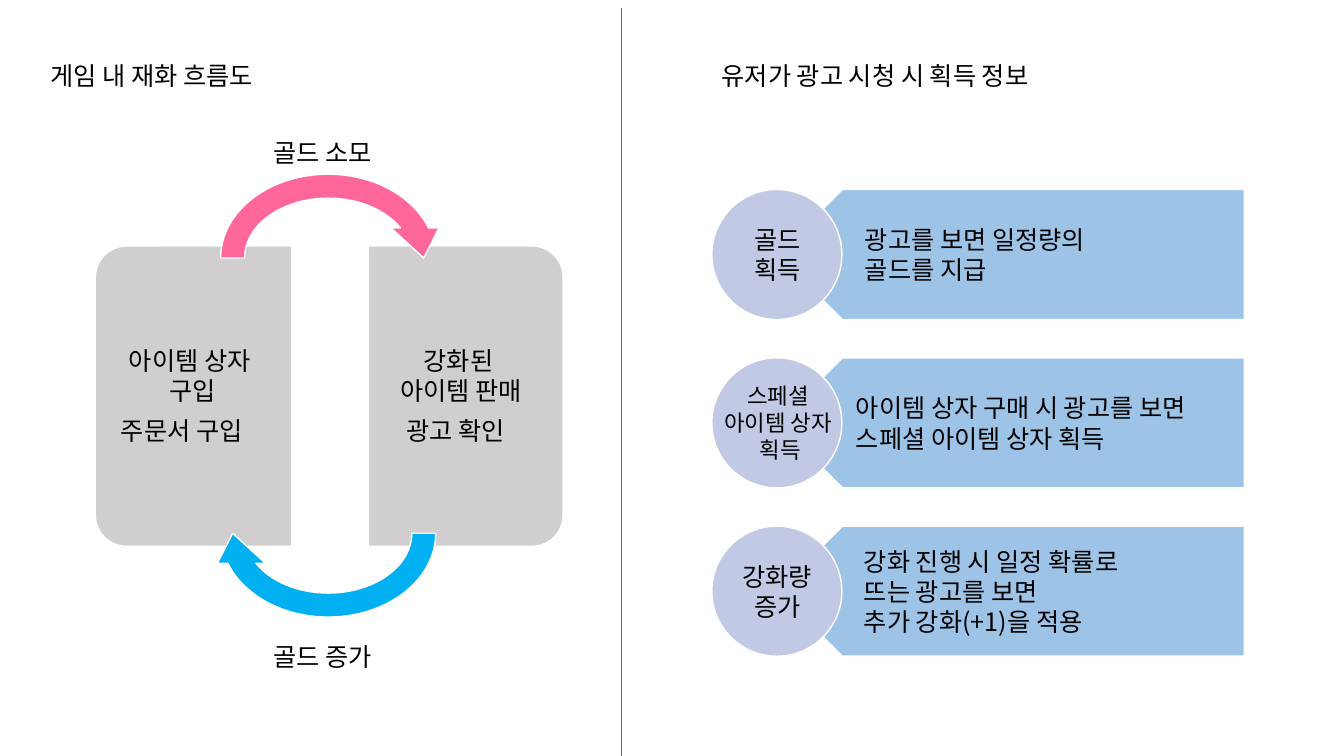
from dataclasses import dataclass

from lxml.etree import SubElement
from pptx import Presentation
from pptx.dml.color import RGBColor
from pptx.enum.shapes import MSO_CONNECTOR, MSO_SHAPE
from pptx.enum.text import MSO_ANCHOR, MSO_AUTO_SIZE, PP_ALIGN
from pptx.oxml.ns import qn
from pptx.util import Inches, Pt


@dataclass(frozen=True)
class Theme:
    font: str = "Noto Sans CJK KR"
    body: int = 18
    small: int = 16
    leading: float = 1.2
    text: str = "000000"
    outline: str = "FFFFFF"
    panel: str = "D0CECE"
    spend: str = "FF6699"
    earn: str = "00B0F0"
    banner: str = "9DC3E6"
    badge: str = "C1C9E4"
    divider: str = "4472C4"


class SlideBuilder:
    """Draws themed elements on one slide."""

    def __init__(self, slide, theme):
        self.slide = slide
        self.theme = theme

    def fill_text(self, shape, lines, size, align):
        frame = shape.text_frame
        frame.word_wrap = True
        frame.auto_size = MSO_AUTO_SIZE.NONE
        frame.vertical_anchor = MSO_ANCHOR.MIDDLE
        for index, line in enumerate(lines):
            paragraph = frame.paragraphs[0] if index == 0 else frame.add_paragraph()
            paragraph.alignment = align
            paragraph.line_spacing = Pt(size * self.theme.leading)
            paragraph.space_before = Pt(0)
            run = paragraph.add_run()
            run.text = line
            run.font.size = Pt(size)
            run.font.name = self.theme.font
            run.font.color.rgb = RGBColor.from_string(self.theme.text)
            SubElement(run.font._element, qn("a:ea"), typeface=self.theme.font)

    def title(self, line, left, top, width, height):
        shape = self.slide.shapes.title
        shape.left, shape.top = Inches(left), Inches(top)
        shape.width, shape.height = Inches(width), Inches(height)
        self.fill_text(shape, [line], self.theme.body, PP_ALIGN.LEFT)

    def text(self, lines, left, top, width, height, size=None, align=PP_ALIGN.LEFT):
        box = self.slide.shapes.add_textbox(
            Inches(left), Inches(top), Inches(width), Inches(height))
        self.fill_text(box, lines, size or self.theme.body, align)

    def shape(self, kind, left, top, width, height, color, rotation=0, adjustments=()):
        shape = self.slide.shapes.add_shape(
            kind, Inches(left), Inches(top), Inches(width), Inches(height))
        shape.shadow.inherit = False
        shape.rotation = rotation
        for index, value in enumerate(adjustments):
            shape.adjustments[index] = value
        shape.fill.solid()
        shape.fill.fore_color.rgb = RGBColor.from_string(color)
        shape.line.color.rgb = RGBColor.from_string(self.theme.outline)
        shape.line.width = Pt(1)

    def panel(self, center_x, center_y, width, height, rotation):
        self.shape(MSO_SHAPE.ROUND_2_SAME_RECTANGLE, center_x - height / 2,
                   center_y - width / 2, height, width, self.theme.panel,
                   rotation, (0.16, 0))

    def flow_arrow(self, top, color, rotation):
        self.shape(MSO_SHAPE.CIRCULAR_ARROW, 2.07, top, 2.37, 1.9, color,
                   rotation, (0.125, 11.423, 204.577, 108, 0.125))

    def divider(self, x, top, bottom):
        line = self.slide.shapes.add_connector(
            MSO_CONNECTOR.STRAIGHT, Inches(x), Inches(top), Inches(x), Inches(bottom))
        line.line.color.rgb = RGBColor.from_string(self.theme.divider)
        line.line.width = Pt(0.5)
        SubElement(line._element.spPr, qn("a:effectLst"))


def draw_currency_flow(builder):
    theme = builder.theme
    builder.title("게임 내 재화 흐름도", 0.4, 0.55, 2.49, 0.4)
    builder.panel(1.92, 3.93, 1.95, 2.98, 270)
    builder.panel(4.62, 3.93, 1.93, 2.98, 90)
    builder.flow_arrow(1.61, theme.spend, 0)
    builder.flow_arrow(4.34, theme.earn, 180)
    builder.text(["골드 소모"], 2.61, 1.31, 1.3, 0.4)
    builder.text(["골드 증가"], 2.61, 6.31, 1.3, 0.4)
    builder.text(["아이템 상자 ", "구입"], 1.09, 3.37, 1.64, 0.71, align=PP_ALIGN.CENTER)
    builder.text(["주문서 구입"], 1.1, 4.07, 1.55, 0.4)
    builder.text(["강화된 ", "아이템 판매"], 3.8, 3.37, 1.55, 0.71, align=PP_ALIGN.CENTER)
    builder.text(["광고 확인"], 3.93, 4.07, 1.3, 0.4)


def draw_ad_rewards(builder):
    theme = builder.theme
    builder.text(["유저가 광고 시청 시 획득 정보"], 7.06, 0.55, 3.68, 0.4)
    rewards = [
        (["골드", "획득"], theme.body, 7.71,
         ["광고를 보면 일정량의", "골드를 지급"], 8.48),
        (["스페셜 ", "아이템 상자 ", "획득"], theme.small, 7.74,
         ["아이템 상자 구매 시 광고를 보면", "스페셜 아이템 상자 획득"], 8.39),
        (["강화량", "증가"], theme.body, 7.71,
         ["강화 진행 시 일정 확률로", "뜨는 광고를 보면", "추가 강화(+1)을 적용"], 8.47),
    ]
    first_top, pitch, diameter, label_width = 1.88, 1.67, 1.29, 1.48
    for row, (label, size, label_center, description, text_left) in enumerate(rewards):
        top = first_top + row * pitch
        builder.shape(MSO_SHAPE.PENTAGON, 7.71, top, 4.63, diameter, theme.banner, 180)
        builder.shape(MSO_SHAPE.OVAL, 7.06, top, diameter, diameter, theme.badge)
        builder.text(label, label_center - label_width / 2, top, label_width, diameter,
                     size, PP_ALIGN.CENTER)
        builder.text(description, text_left, top, 4, diameter)


def main():
    presentation = Presentation()
    presentation.slide_width = Inches(13.33)
    presentation.slide_height = Inches(7.5)
    slide = presentation.slides.add_slide(presentation.slide_layouts[5])
    builder = SlideBuilder(slide, Theme())
    draw_currency_flow(builder)
    builder.divider(6.16, 0.08, 7.5)
    draw_ad_rewards(builder)
    presentation.save("out.pptx")


if __name__ == "__main__":
    main()
